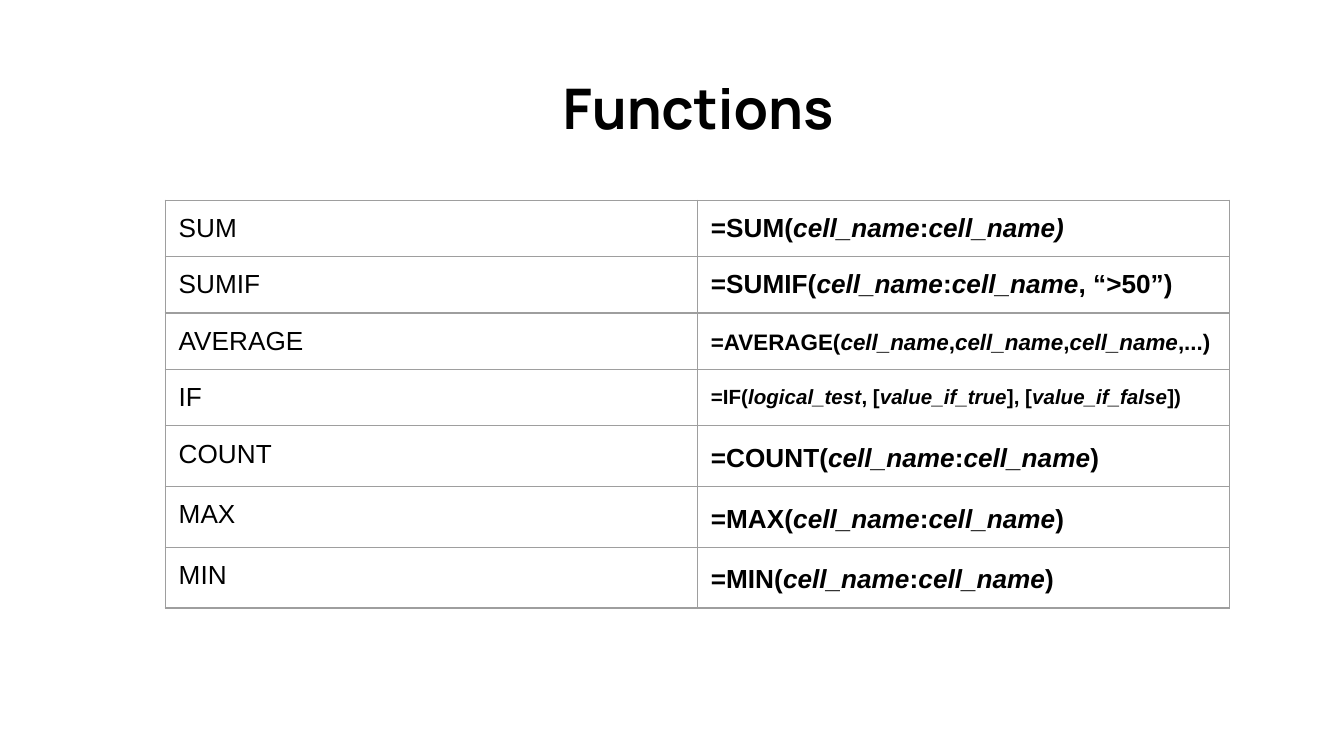
from lxml.etree import SubElement
from pptx import Presentation
from pptx.dml.color import RGBColor
from pptx.enum.text import MSO_ANCHOR, PP_ALIGN
from pptx.oxml.ns import qn
from pptx.util import Inches, Pt

TITLE = "Functions"
# Name, formula (asterisks enclose italic parts), formula size, line spacing
FUNCTIONS = [
    ("SUM", "=SUM(*cell_name*:*cell_name)*", 14, None),
    ("SUMIF", "=SUMIF(*cell_name*:*cell_name*, “>50”)", 14, None),
    ("AVERAGE", "=AVERAGE(*cell_name*,*cell_name*,*cell_name*,...)", 12, 1.15),
    ("IF", "=IF(*logical_test*, [*value_if_true*], [*value_if_false*])", 11, 1.15),
    ("COUNT", "=COUNT(*cell_name*:*cell_name*)", 14, 1.15),
    ("MAX", "=MAX(*cell_name*:*cell_name*)", 14, 1.15),
    ("MIN", "=MIN(*cell_name*:*cell_name*)", 14, 1.15),
]
BLACK, WHITE, GREY = "000000", "FFFFFF", "9E9E9E"
PAGE_WIDTH = 10
PAGE_HEIGHT = PAGE_WIDTH * 9 / 16
COLUMN_WIDTH, ROW_HEIGHT, MARGIN = 3.96, 0.42, 0.1


def color(value):
    return RGBColor.from_string(value)


def write(frame, text, size=14, font="Arial", bold=False, align=PP_ALIGN.LEFT, spacing=None):
    """Fill the frame with one paragraph; asterisks switch italics on and off."""
    para = frame.paragraphs[0]
    para.alignment = align
    para.line_spacing = spacing
    for index, part in enumerate(text.split("*")):
        if part:
            span = para.add_run()
            span.text = part
            span.font.name = font
            span.font.size = Pt(size)
            span.font.bold = bold
            span.font.italic = index % 2 == 1
            span.font.color.rgb = color(BLACK)


def set_margins(holder):
    holder.margin_left = holder.margin_right = Inches(MARGIN)
    holder.margin_top = holder.margin_bottom = Inches(MARGIN)


def format_cell(cell):
    set_margins(cell)
    properties = cell._tc.get_or_add_tcPr()
    for side in ("a:lnL", "a:lnR", "a:lnT", "a:lnB"):
        line = SubElement(properties, qn(side), w=str(Pt(0.75)))
        fill = SubElement(line, qn("a:solidFill"))
        SubElement(fill, qn("a:srgbClr"), val=GREY)
    cell.fill.background()


deck = Presentation()
deck.slide_width, deck.slide_height = Inches(PAGE_WIDTH), Inches(PAGE_HEIGHT)
page = deck.slides.add_slide(deck.slide_layouts[5])
page.background.fill.solid()
page.background.fill.fore_color.rgb = color(WHITE)

title = page.shapes.title
title.left, title.top = Inches(1.34), Inches(0.45)
title.width, title.height = Inches(7.71), Inches(0.77)
set_margins(title.text_frame)
title.text_frame.vertical_anchor = MSO_ANCHOR.TOP
write(title.text_frame, TITLE, size=30, font="Manrope", bold=True, align=PP_ALIGN.CENTER)

table = page.shapes.add_table(
    len(FUNCTIONS), 2, Inches(1.23), Inches(1.49),
    Inches(2 * COLUMN_WIDTH), Inches(len(FUNCTIONS) * ROW_HEIGHT),
).table
table.first_row = table.horz_banding = False
for row, (name, formula, size, spacing) in zip(table.rows, FUNCTIONS):
    name_cell, formula_cell = row.cells
    write(name_cell.text_frame, name)
    write(formula_cell.text_frame, formula, size=size, bold=True, spacing=spacing)
    for cell in row.cells:
        format_cell(cell)

deck.save("out.pptx")
